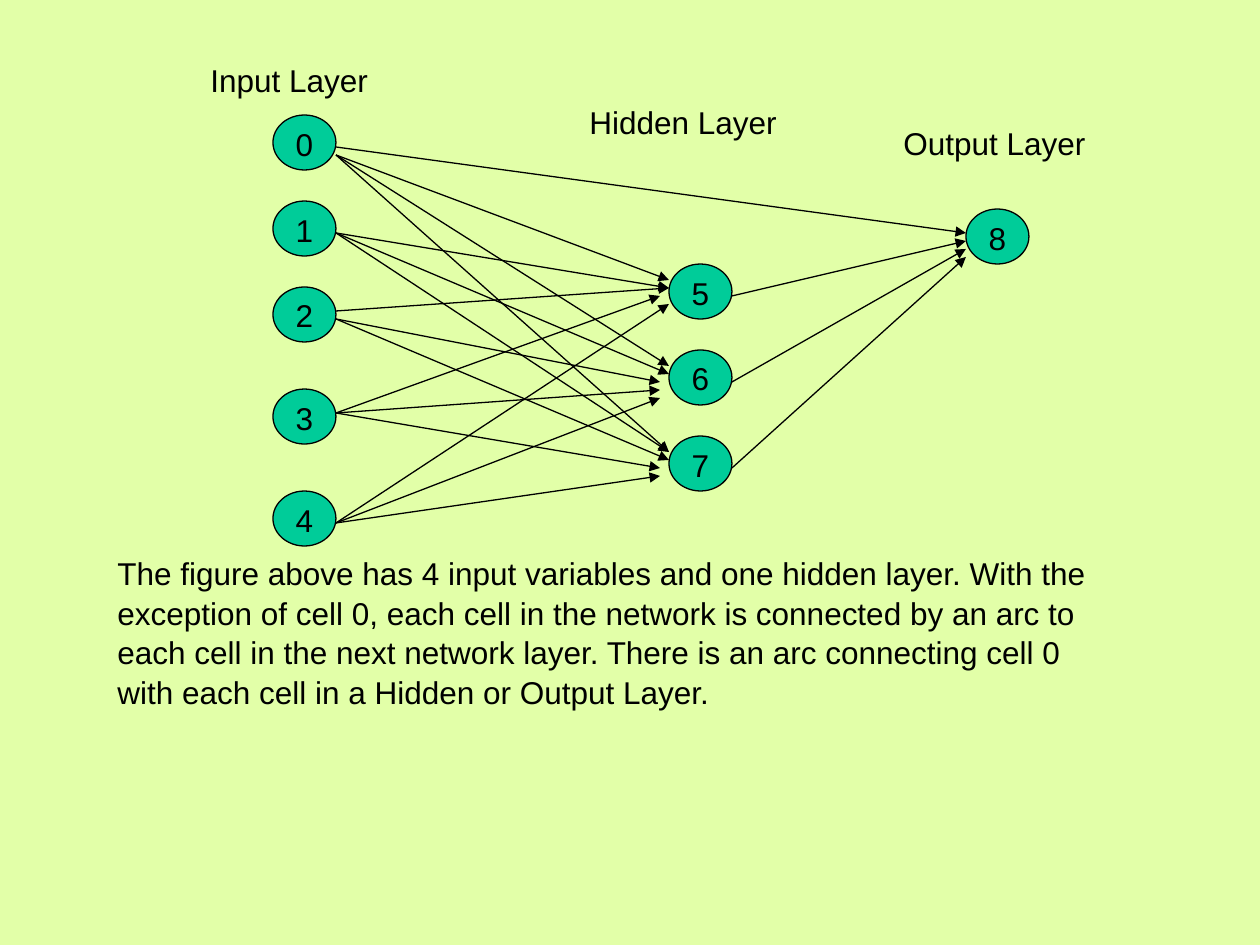
from lxml import etree
from pptx import Presentation
from pptx.dml.color import RGBColor
from pptx.enum.shapes import MSO_CONNECTOR, MSO_SHAPE
from pptx.enum.text import MSO_ANCHOR, PP_ALIGN
from pptx.oxml.ns import qn
from pptx.util import Pt

PX = 914400 // 126
BACKGROUND = RGBColor(0xE2, 0xFF, 0xA8)
NODE_FILL = RGBColor(0x00, 0xCC, 0x99)
BLACK = RGBColor(0x00, 0x00, 0x00)
OVAL, STRAIGHT = MSO_SHAPE.OVAL, MSO_CONNECTOR.STRAIGHT
CENTER, MIDDLE = PP_ALIGN.CENTER, MSO_ANCHOR.MIDDLE

NODE_W, NODE_H = 63, 55
FIRST_PORT, PORT_STEP = 16, 8

# Node positions, relative to the network's corner
INPUT_X, HIDDEN_X, OUTPUT_X = 0, 396, 693
NODES = [(INPUT_X, y) for y in (0, 86, 172, 274, 376)]
NODES += [(HIDDEN_X, y) for y in (149, 235, 321)]
NODES += [(OUTPUT_X, 94)]

# Arcs: from node, to node, port at start, port at end, gap before the end
ARCS = [
    (0, 8, 2, 1, 0), (0, 5, 3, 0, 0), (0, 6, 3, 0, 0), (0, 7, 3, 0, 0),
    (1, 5, 2, 1, 0), (1, 6, 2, 1, 0), (1, 7, 2, 0, 0),
    (2, 5, 1, 1, 0), (2, 6, 2, 2, 9), (2, 7, 2, 1, 0),
    (3, 5, 1, 2, 9), (3, 6, 1, 3, 9), (3, 7, 1, 2, 9),
    (4, 5, 2, 3, 0), (4, 6, 2, 4, 9), (4, 7, 2, 3, 9),
    (5, 8, 2, 2, 0), (6, 8, 2, 3, 0), (7, 8, 2, 4, 0),
]

LABELS = [
    ("Input Layer", 198, 53, 222),
    ("Hidden Layer", 577, 95, 257),
    ("Output Layer", 891, 116, 251),
]
DESCRIPTION = (
    "The figure above has 4 input variables and one hidden layer. With the "
    "exception of cell 0, each cell in the network is connected by an arc to "
    "each cell in the next network layer. There is an arc connecting cell 0 "
    "with each cell in a Hidden or Output Layer."
)


def px(*values):
    return [v * PX for v in values]


def write(sp, text, wrap=False):
    tf = sp.text_frame
    tf.text = text
    tf.word_wrap = wrap
    p = tf.paragraphs[0]
    p.line_spacing = 1.05
    font = p.runs[0].font
    font.name, font.size = "Arial", Pt(18)
    font.color.rgb = BLACK
    return tf


def add_node(shapes, text, x, y):
    sp = shapes.add_shape(OVAL, *px(x, y, NODE_W, NODE_H))
    sp.shadow.inherit = False
    sp.fill.solid()
    sp.fill.fore_color.rgb = NODE_FILL
    sp.line.color.rgb = BLACK
    sp.line.width = Pt(0.75)
    tf = write(sp, text)
    tf.vertical_anchor = MIDDLE
    tf.paragraphs[0].alignment = CENTER


def add_arc(shapes, x1, y1, x2, y2):
    arc = shapes.add_connector(STRAIGHT, *px(x1, y1, x2, y2))
    arc.line.color.rgb = BLACK
    arc.line.width = Pt(0.75)
    etree.SubElement(arc.line._get_or_add_ln(), qn("a:tailEnd"), type="triangle")
    etree.SubElement(arc._element.spPr, qn("a:effectLst"))


def add_network(slide, left, top):
    shapes = slide.shapes.add_group_shape().shapes
    nodes = [(left + x, top + y) for x, y in NODES]
    for number, (x, y) in enumerate(nodes):
        add_node(shapes, str(number), x, y)
    for source, target, start, end, gap in ARCS:
        x1, y1 = nodes[source]
        x2, y2 = nodes[target]
        add_arc(shapes, x1 + NODE_W, y1 + FIRST_PORT + start * PORT_STEP,
                x2 - gap, y2 + FIRST_PORT + end * PORT_STEP)


def add_text(slide, text, x, y, w, h, wrap=False):
    write(slide.shapes.add_textbox(*px(x, y, w, h)), text, wrap)


prs = Presentation()
prs.slide_width, prs.slide_height = px(1260, 945)
slide = prs.slides.add_slide(prs.slide_layouts[6])
slide.background.fill.solid()
slide.background.fill.fore_color.rgb = BACKGROUND

# Network diagram
add_network(slide, 273, 115)

# Description and layer labels
add_text(slide, DESCRIPTION, 105, 546, 999, 265, wrap=True)
for text, x, y, w in LABELS:
    add_text(slide, text, x, y, w, 63)

prs.save("out.pptx")
